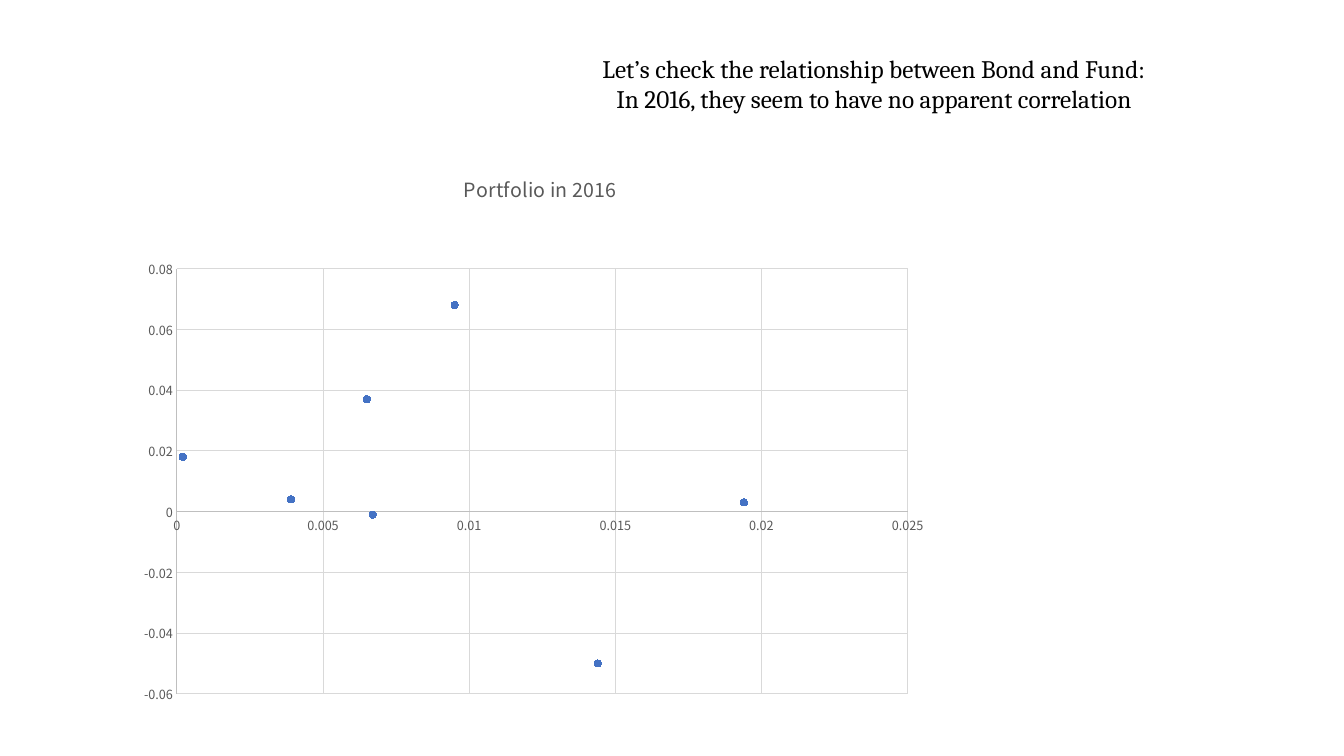
import pptx
import pptx.chart.data
import pptx.dml.color
import pptx.enum.chart
import pptx.enum.text
import pptx.oxml
import pptx.util

Pt = pptx.util.Pt
CHARTS = pptx.enum.chart
RETURNS = [
    (0.0144, -0.05), (0.0067, -0.001), (0.0095, 0.068), (0.0039, 0.004),
    (0.0002, 0.018), (0.0194, 0.003), (0.0065, 0.037),
]


def set_all(target, **values):
    """Set each named attribute of the target."""
    for name, value in values.items():
        setattr(target, name, value)


def colour(hex_code):
    """Turn a hex string into a colour."""
    return pptx.dml.color.RGBColor.from_string(hex_code)


def style_font(font, name, size, hex_code):
    """Give a font its face, size and colour."""
    set_all(font, name=name, size=Pt(size), bold=False)
    font.color.rgb = colour(hex_code)


def style_line(line, hex_code):
    """Draw a thin solid line in the given colour."""
    line.color.rgb = colour(hex_code)
    line.width = Pt(0.75)


def place_layout(parent, index, **values):
    """Fix the position of a chart part by fractions of the chart."""
    for old in parent.findall(pptx.oxml.ns.qn("c:layout")):
        parent.remove(old)
    marks = "".join(f'<c:{name} val="{value}"/>' for name, value in values.items())
    parent.insert(index, pptx.oxml.parse_xml(
        f'<c:layout {pptx.oxml.ns.nsdecls("c")}>'
        f"<c:manualLayout>{marks}</c:manualLayout></c:layout>"))


def add_heading(page, box, lines):
    """Fill and place the title placeholder."""
    heading = page.shapes.title
    left, top, width, height = map(Pt, box)
    set_all(heading, left=left, top=top, width=width, height=height)
    frame = heading.text_frame
    set_all(frame, word_wrap=True, text="\n".join(lines),
            auto_size=pptx.enum.text.MSO_AUTO_SIZE.NONE,
            vertical_anchor=pptx.enum.text.MSO_ANCHOR.TOP)
    for para in frame.paragraphs:
        set_all(para, alignment=pptx.enum.text.PP_ALIGN.CENTER,
                line_spacing=1.0, space_before=Pt(0))
        for span in para.runs:
            style_font(span.font, "Cambria", 18, "000000")


def style_axis(axis, low, high, step):
    """Give an axis its scale, labels and gridlines."""
    set_all(axis, minimum_scale=low, maximum_scale=high, major_unit=step,
            major_tick_mark=CHARTS.XL_TICK_MARK.NONE,
            minor_tick_mark=CHARTS.XL_TICK_MARK.NONE,
            tick_label_position=CHARTS.XL_TICK_LABEL_POSITION.NEXT_TO_AXIS,
            has_major_gridlines=True)
    style_font(axis.tick_labels.font, "Noto Sans CJK SC", 9, "595959")
    set_all(axis.tick_labels, number_format="General", number_format_is_linked=False)
    style_line(axis.format.line, "BFBFBF")
    style_line(axis.major_gridlines.format.line, "D9D9D9")


def add_scatter(page, box, title, points):
    """Add the scatter chart of the portfolio returns."""
    data = pptx.chart.data.XyChartData()
    series_data = data.add_series("Series 1")
    for x, y in points:
        series_data.add_data_point(x, y)
    chart = page.shapes.add_chart(
        CHARTS.XL_CHART_TYPE.XY_SCATTER, *map(Pt, box), data).chart
    set_all(chart, has_legend=False, has_title=True)
    style_font(chart.font, "Noto Sans CJK SC", 10, "000000")

    frame = chart.chart_title.text_frame
    frame.text = title
    style_font(frame.paragraphs[0].runs[0].font, "Noto Sans CJK SC", 14, "595959")
    chart_xml = chart.element.chart
    place_layout(chart_xml.find(pptx.oxml.ns.qn("c:title")), 1,
                 xMode="edge", yMode="edge", x=0.408, y=0.027)
    place_layout(chart_xml.plotArea, 0, layoutTarget="inner", xMode="edge",
                 yMode="edge", x=0.079, y=0.208, w=0.848, h=0.766)

    style_axis(chart.category_axis, 0, 0.025, 0.005)
    style_axis(chart.value_axis, -0.06, 0.08, 0.02)
    chart.plots[0].vary_by_categories = False
    series = chart.plots[0].series[0]
    series.format.line.fill.background()
    set_all(series.marker, style=CHARTS.XL_MARKER_STYLE.CIRCLE, size=5)
    series.marker.format.fill.solid()
    series.marker.format.fill.fore_color.rgb = colour("4472C4")
    style_line(series.marker.format.line, "4472C4")


def main():
    """Build and save the deck."""
    deck = pptx.Presentation()
    set_all(deck, slide_width=Pt(960), slide_height=Pt(540))
    page = deck.slides.add_slide(deck.slide_layouts.get_by_name("Title Only"))
    add_heading(page, (400, 34.5, 448.5, 51), [
        "Let’s check the relationship between Bond and Fund:",
        "In 2016, they seem to have no apparent correlation"])
    add_scatter(page, (77.75, 109.5, 615.5, 396.5), "Portfolio in 2016", RETURNS)
    deck.save("out.pptx")


main()
